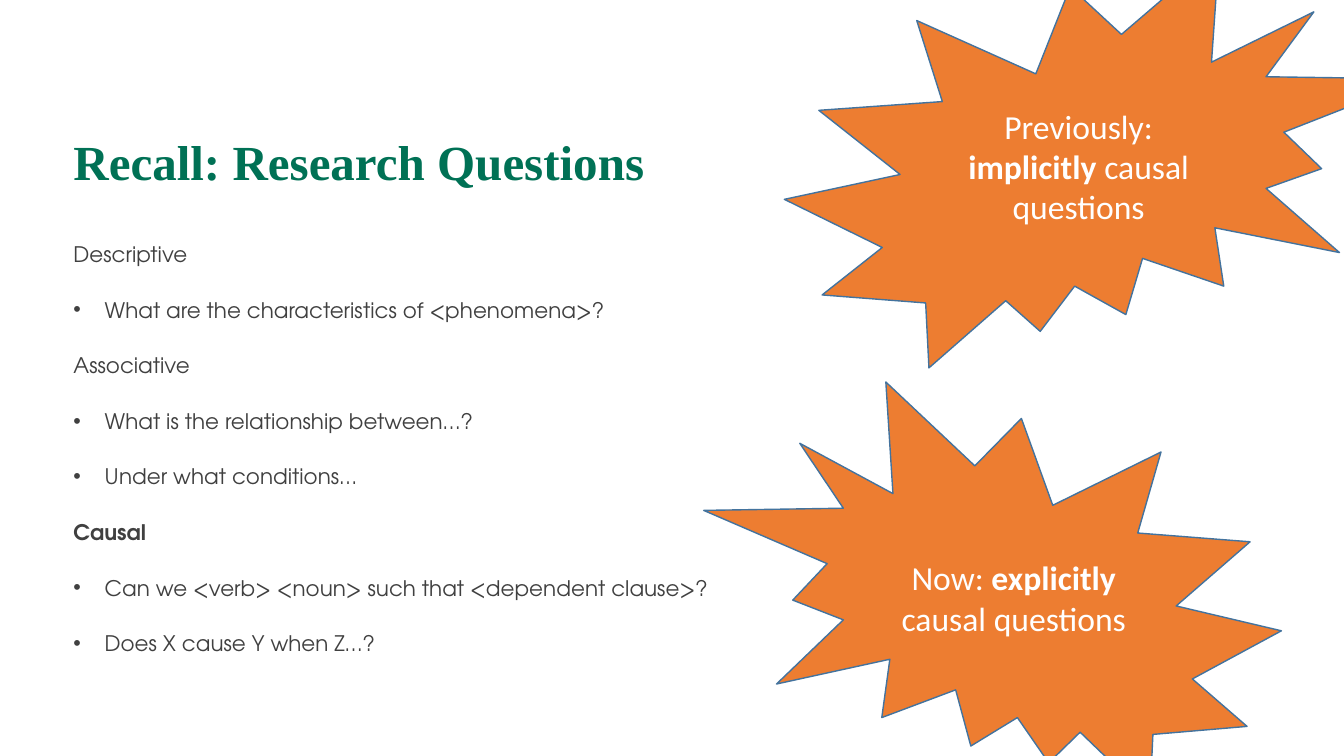
from lxml import etree
from pptx import Presentation
from pptx.dml.color import RGBColor
from pptx.enum.shapes import MSO_SHAPE
from pptx.enum.text import MSO_ANCHOR, PP_ALIGN
from pptx.oxml.ns import qn
from pptx.util import Inches, Pt

BURST = MSO_SHAPE.EXPLOSION2
MIDDLE = MSO_ANCHOR.MIDDLE
CENTER = PP_ALIGN.CENTER

GREEN = RGBColor(0x00, 0x71, 0x55)
GRAY = RGBColor(0x40, 0x40, 0x40)
ORANGE = RGBColor(0xED, 0x7D, 0x31)
BLUE = RGBColor(0x43, 0x73, 0x9E)
WHITE = RGBColor(0xFF, 0xFF, 0xFF)

# Content
TITLE = "Recall: Research Questions"
QUESTION_TYPES = [  # heading, bold, questions
    ("Descriptive", False, ["What are the characteristics of <phenomena>?"]),
    ("Associative", False, ["What is the relationship between…?",
                            "Under what conditions…"]),
    ("Causal", True, ["Can we <verb> <noun> such that <dependent clause>?",
                      "Does X cause Y when Z…?"]),
]
CALLOUTS = [  # left, top, width, height, mirrored, (text, bold) runs
    (7.78, -0.49, 6.3, 4.14, False,
     [("Previously: ", False), ("implicitly", True), (" causal questions", False)]),
    (6.98, 3.79, 5.73, 4.14, True,
     [("Now: ", False), ("explicitly", True), (" causal questions", False)]),
]
LEFT, TEXT_WIDTH = 0.63, 11.5
BULLET_INDENT = 0.31


def style(run, font, size, color, bold=False):
    run.font.name = font
    run.font.size = Pt(size)
    run.font.color.rgb = color
    run.font.bold = bold


def add_text_frame(slide, top, height):
    box = slide.shapes.add_textbox(
        Inches(LEFT), Inches(top), Inches(TEXT_WIDTH), Inches(height))
    box.text_frame.word_wrap = True
    return box.text_frame


def add_bullet(paragraph):
    props = paragraph._p.get_or_add_pPr()
    props.set("marL", str(Inches(BULLET_INDENT)))
    props.set("indent", str(-Inches(BULLET_INDENT)))
    etree.SubElement(props, qn("a:buFont")).set("typeface", "Arial")
    etree.SubElement(props, qn("a:buChar")).set("char", "•")


def add_title(slide):
    frame = add_text_frame(slide, 0.91, 1.45)
    frame.vertical_anchor = MIDDLE
    frame.text = TITLE
    heading = frame.paragraphs[0]
    heading.line_spacing = 0.9
    style(heading.runs[0], "Times New Roman", 35, GREEN, True)


def add_questions(slide):
    frame = add_text_frame(slide, 2.24, 4.35)
    lines = []
    for heading, bold, questions in QUESTION_TYPES:
        lines.append((heading, bold, False))
        lines += [(question, False, True) for question in questions]
    for index, (text, bold, bulleted) in enumerate(lines):
        paragraph = frame.add_paragraph() if index else frame.paragraphs[0]
        paragraph.text = text
        if bulleted:
            add_bullet(paragraph)
        paragraph.line_spacing = 1.4
        if index:
            paragraph.space_before = Pt(10)
        paragraph.space_after = Pt(4)
        style(paragraph.runs[0], "TeX Gyre Adventor", 15.3, GRAY, bold)


def add_callout(slide, left, top, width, height, mirrored, runs):
    burst = slide.shapes.add_shape(
        BURST, Inches(left), Inches(top), Inches(width), Inches(height))
    burst.shadow.inherit = False
    burst.fill.solid()
    burst.fill.fore_color.rgb = ORANGE
    burst.line.color.rgb = BLUE
    burst.line.width = Pt(1)
    if mirrored:
        burst._element.spPr.find(qn("a:xfrm")).set("flipH", "1")
    frame = burst.text_frame
    frame.word_wrap = True
    frame.vertical_anchor = MIDDLE
    message = frame.paragraphs[0]
    message.alignment = CENTER
    for text, bold in runs:
        run = message.add_run()
        run.text = text
        style(run, "Calibri", 24, WHITE, bold)


def main():
    prs = Presentation()
    prs.slide_width, prs.slide_height = Inches(13.33), Inches(7.5)
    slide = prs.slides.add_slide(prs.slide_layouts[6])
    add_title(slide)
    add_questions(slide)
    for callout in CALLOUTS:
        add_callout(slide, *callout)
    prs.save("out.pptx")


if __name__ == "__main__":
    main()
